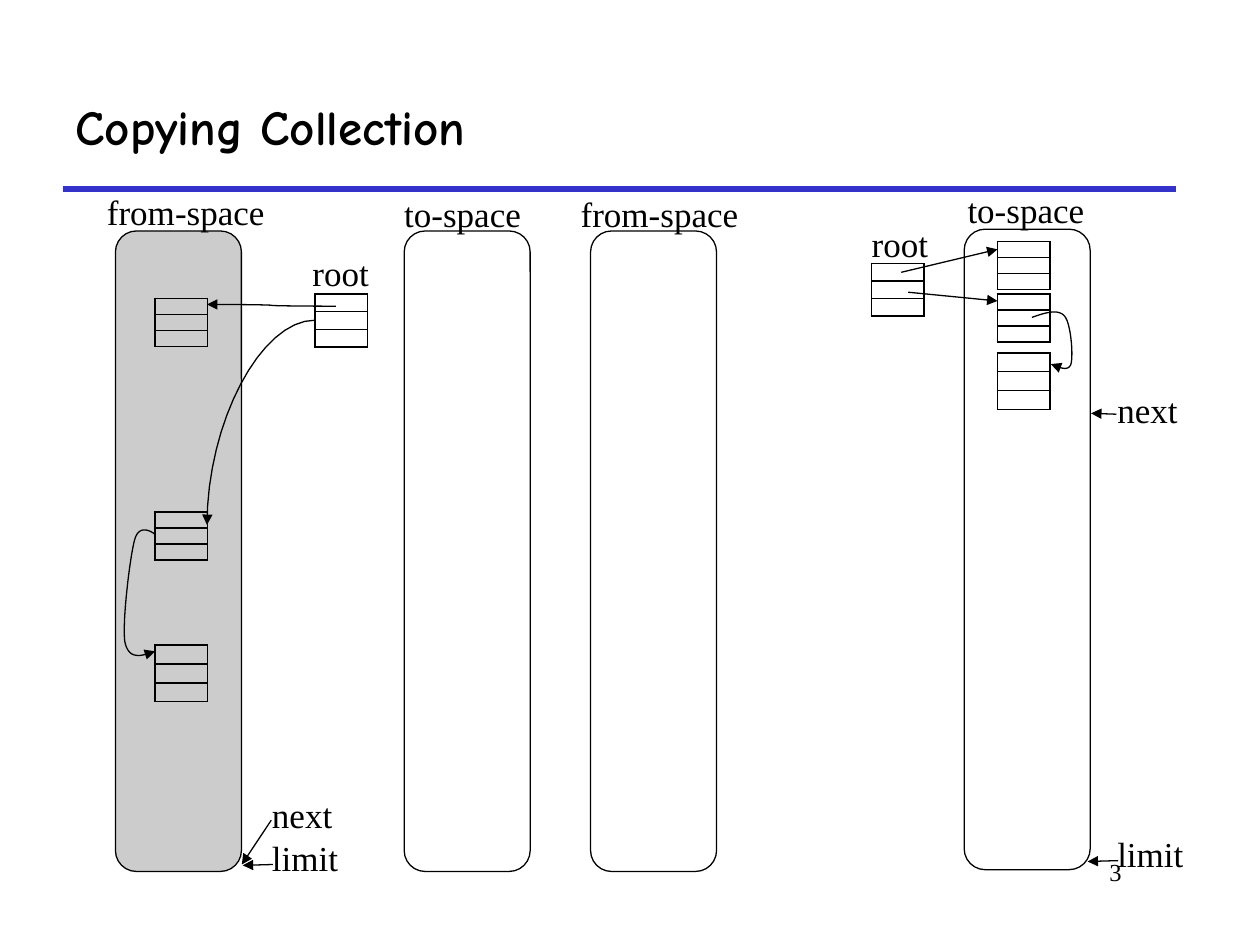
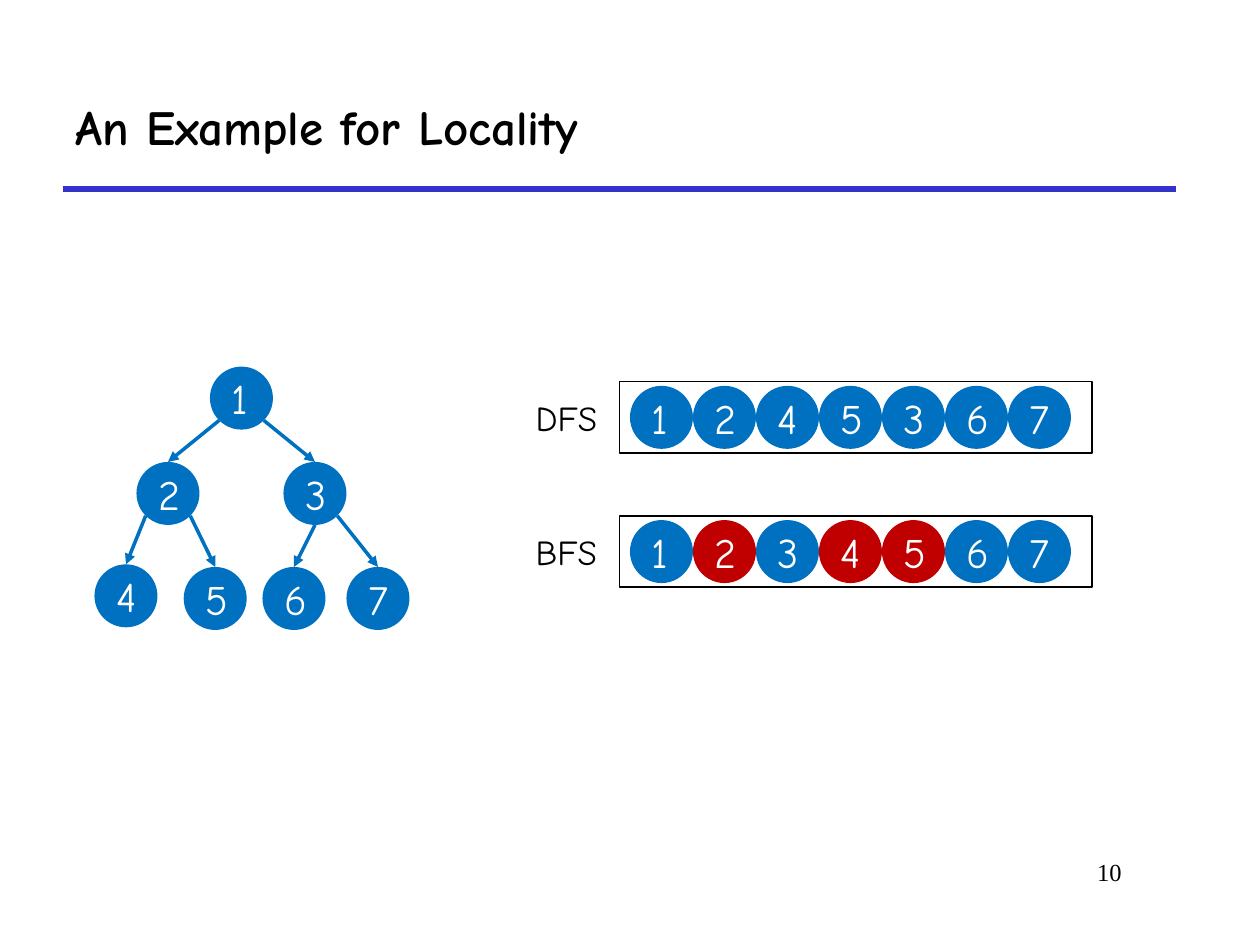
from dataclasses import dataclass
from itertools import chain
from math import radians, sin, cos

from lxml.etree import SubElement
from pptx import Presentation
from pptx.dml.color import RGBColor
from pptx.enum.shapes import MSO_CONNECTOR, MSO_SHAPE
from pptx.enum.text import MSO_ANCHOR, MSO_AUTO_SIZE, PP_ALIGN
from pptx.oxml.ns import qn
from pptx.util import Pt


@dataclass(frozen=True)
class Theme:
    ink: str = "000000"
    paper: str = "FFFFFF"
    rule: str = "3333CC"
    node: str = "0070C0"
    miss: str = "C00000"
    comic: str = "Comic Neue"
    serif: str = "Times New Roman"
    title_size: float = 28
    node_size: float = 24
    label_size: float = 20
    number_size: float = 14
    thin: float = 0.75
    outline: float = 1


THEME = Theme()
NODE = 36
SPACE_WIDTH, SPACE_HEIGHT = 72, 366
RECORD_WIDTH = 30


def points(*values):
    return [Pt(value) for value in values]


def write(frame, text, font, size, color=THEME.ink, bold=False, align=PP_ALIGN.LEFT):
    para = frame.paragraphs[0]
    para.alignment = align
    span = para.add_run()
    span.text = text
    span.font.name = font
    span.font.size = Pt(size)
    span.font.bold = bold
    span.font.color.rgb = RGBColor.from_string(color)


def style_line(shape, color, width, arrow=False):
    shape.line.color.rgb = RGBColor.from_string(color)
    shape.line.width = Pt(width)
    if arrow:
        SubElement(shape.element.spPr.find(qn("a:ln")), qn("a:tailEnd"), type="triangle")


def add_line(page, start, end, color=THEME.ink, width=THEME.thin, arrow=True,
             kind=MSO_CONNECTOR.STRAIGHT):
    line = page.shapes.add_connector(kind, *points(*start, *end))
    style_line(line, color, width, arrow)
    SubElement(line.element.spPr, qn("a:effectLst"))


def bezier(p0, p1, p2, p3, steps=16):
    for step in range(1, steps + 1):
        t = step / steps
        weights = ((1 - t) ** 3, 3 * t * (1 - t) ** 2, 3 * t * t * (1 - t), t ** 3)
        yield tuple(Pt(sum(w * p[axis] for w, p in zip(weights, (p0, p1, p2, p3))))
                    for axis in (0, 1))


def add_curve(page, knots):
    pieces = [bezier(*knots[i:i + 4]) for i in range(0, len(knots) - 1, 3)]
    builder = page.shapes.build_freeform(*points(*knots[0]))
    builder.add_line_segments(chain.from_iterable(pieces), close=False)
    curve = builder.convert_to_shape()
    curve.fill.background()
    curve.shadow.inherit = False
    style_line(curve, THEME.ink, THEME.thin, arrow=True)


def add_label(page, text, left, top, width, font=THEME.serif):
    box = page.shapes.add_textbox(*points(left, top, width, 31.5))
    box.text_frame.word_wrap = False
    box.text_frame.auto_size = MSO_AUTO_SIZE.SHAPE_TO_FIT_TEXT
    write(box.text_frame, text, font, THEME.label_size)


def add_outline(page, kind, left, top, width, height, line_width):
    shape = page.shapes.add_shape(kind, *points(left, top, width, height))
    shape.shadow.inherit = False
    shape.fill.background()
    style_line(shape, THEME.ink, line_width)
    return shape


def add_space(page, left, top, used=False):
    space = add_outline(page, MSO_SHAPE.ROUNDED_RECTANGLE, left, top,
                        SPACE_WIDTH, SPACE_HEIGHT, THEME.thin)
    if used:
        space.fill.solid()
        space.fill.fore_color.rgb = RGBColor.from_string(THEME.ink)
        color = space.element.spPr.find(qn("a:solidFill")).find(qn("a:srgbClr"))
        SubElement(color, qn("a:alpha"), val="20000")


def add_border(cell):
    properties = cell._tc.get_or_add_tcPr()
    for side in ("a:lnL", "a:lnR", "a:lnT", "a:lnB"):
        line = SubElement(properties, qn(side), w=str(Pt(THEME.outline)))
        SubElement(SubElement(line, qn("a:solidFill")), qn("a:srgbClr"), val=THEME.ink)


def add_record(page, left, top, height):
    frame = page.shapes.add_table(3, 1, *points(left, top, RECORD_WIDTH, height))
    table = frame.table
    table.first_row = table.horz_banding = False
    for cell in table.iter_cells():
        cell.margin_left = cell.margin_right = cell.margin_top = cell.margin_bottom = 0
        add_border(cell)
        cell.fill.background()
        SubElement(cell.text_frame.paragraphs[0]._p, qn("a:endParaRPr"), sz="400")


def add_node(page, text, left, top, color=THEME.node):
    node = page.shapes.add_shape(MSO_SHAPE.OVAL, *points(left, top, NODE, NODE))
    node.shadow.inherit = False
    node.fill.solid()
    node.fill.fore_color.rgb = RGBColor.from_string(color)
    node.line.fill.background()
    node.text_frame.vertical_anchor = MSO_ANCHOR.MIDDLE
    write(node.text_frame, text, THEME.comic, THEME.node_size, THEME.paper)


def add_page(deck, heading, number):
    page = deck.slides.add_slide(deck.slide_layouts[5])
    add_line(page, (36, 108), (672, 108), THEME.rule, 3, arrow=False)
    title = page.shapes.title
    title.left, title.top, title.width, title.height = points(36, 36, 636, 72)
    title.text_frame.auto_size = MSO_AUTO_SIZE.NONE
    title.text_frame.vertical_anchor = MSO_ANCHOR.MIDDLE
    write(title.text_frame, heading, THEME.comic, THEME.title_size, bold=True)
    box = page.shapes.add_textbox(*points(498, 486, 150, 36))
    box.text_frame.word_wrap = True
    write(box.text_frame, number, THEME.serif, THEME.number_size, align=PP_ALIGN.RIGHT)
    return page


def add_copying_page(deck):
    page = add_page(deck, "Copying Collection", "3")
    for record in ((180, 168, 30.3), (88.6, 170.5, 27.6), (88.6, 292.5, 27.6),
                   (88.6, 368.6, 32.4), (498, 150.6, 30), (570, 138, 27.6),
                   (570, 168, 27.6), (570, 201.6, 32.4)):
        add_record(page, *record)
    add_line(page, (192, 175), (118.3, 174), kind=MSO_CONNECTOR.CURVE)
    for knots in (
        [(180, 183), (149, 183), (118.3, 241.5), (118.3, 300)],
        [(88.6, 305.3), (88.6, 305.3), (79.9, 298.1), (77, 308.2), (74.2, 318.2),
         (69.8, 355.7), (71.3, 366.5), (73.4, 377.3), (80.6, 375.1), (88.6, 372.2)],
        [(589.7, 181.4), (597.6, 178.6), (604.8, 176.4), (608.4, 180.7), (612, 185),
         (613.4, 203), (612, 208.1), (610.6, 212.4), (605.5, 210.2), (600.5, 208.1)],
    ):
        add_curve(page, knots)
    for left, top, used in ((66, 132, True), (231, 132, False),
                            (337.5, 132, False), (551, 131, False)):
        add_space(page, left, top, used)
    for start, end in (((515, 155.6), (570, 142.5)), ((519, 167), (570, 172)),
                       ((638, 236.7), (623.5, 236.2)), ((639, 491.8), (621.5, 492.3)),
                       ((155, 468.7), (138.2, 494)), ((156, 494), (138.7, 494.5))):
        add_line(page, start, end)
    for text, left, top, width in (
        ("root", 171.4, 140.4, 46.8), ("root", 491, 123.8, 46.8),
        ("from-space", 54, 105.1, 105.1), ("from-space", 324.7, 106.6, 105.1),
        ("to-space", 223.9, 106.6, 82.1), ("to-space", 545.8, 104.4, 82.1),
        ("next", 631.4, 218.2, 49), ("limit", 631.4, 472.3, 52.6),
        ("next", 148.3, 450, 49), ("limit", 148.3, 474.5, 52.6),
    ):
        add_label(page, text, left, top, width)


def add_tree(page):
    spots = {"1": (120, 209.5), "2": (78, 264), "3": (162, 264), "4": (54, 322.5),
             "5": (105, 324), "6": (150, 324), "7": (198, 324)}
    for text, spot in spots.items():
        add_node(page, text, *spot)
    radius = NODE / 2
    for parent, child, angle in (("1", "2", -45), ("1", "3", 45), ("2", "4", -45),
                                 ("2", "5", 45), ("3", "6", 0), ("3", "7", 45)):
        left, top = spots[parent]
        start = (left + radius + radius * sin(radians(angle)),
                 top + radius + radius * cos(radians(angle)))
        child_left, child_top = spots[child]
        add_line(page, start, (child_left + radius, child_top), THEME.node, 2)


def add_memory_row(page, name, top, order, misses=""):
    add_outline(page, MSO_SHAPE.RECTANGLE, 354, top, 270, 41, THEME.outline)
    for slot, text in enumerate(order):
        color = THEME.miss if text in misses else THEME.node
        add_node(page, text, 360 + slot * NODE, top + 2.5, color)
    add_label(page, name, 299, top + 5, 55, THEME.comic)


def add_locality_page(deck):
    page = add_page(deck, "An Example for Locality", "10")
    add_tree(page)
    add_memory_row(page, "DFS", 218, "1245367")
    add_memory_row(page, "BFS", 294.7, "1234567", misses="245")


def main():
    deck = Presentation()
    deck.slide_width, deck.slide_height = points(720, 540)
    add_copying_page(deck)
    add_locality_page(deck)
    deck.save("out.pptx")


if __name__ == "__main__":
    main()
